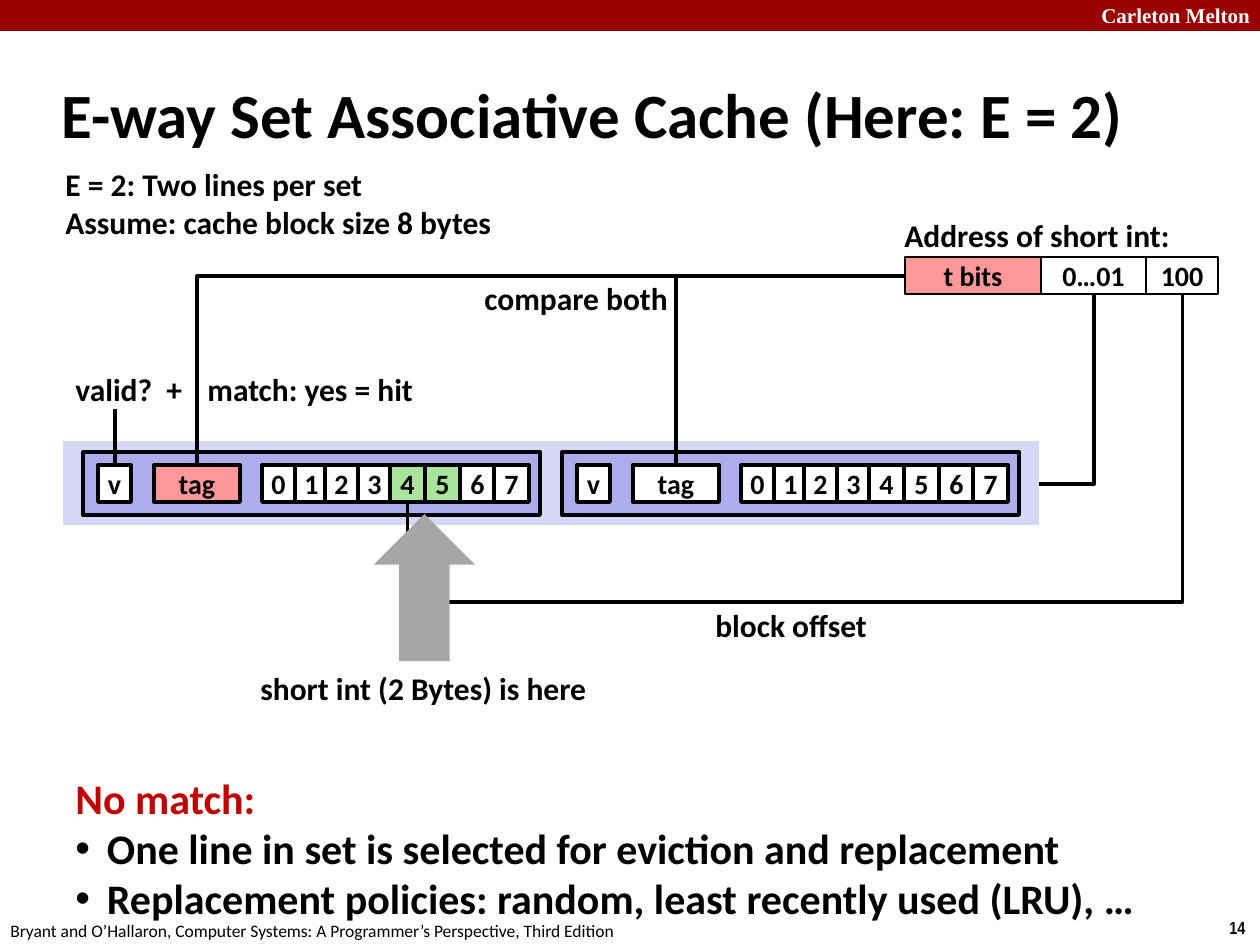
from lxml import etree
from pptx import Presentation
from pptx.dml.color import RGBColor
from pptx.enum.shapes import MSO_CONNECTOR, MSO_SHAPE
from pptx.enum.text import MSO_ANCHOR, MSO_AUTO_SIZE, PP_ALIGN
from pptx.oxml.ns import qn
from pptx.util import Emu, Pt

RECT, ARROW = MSO_SHAPE.RECTANGLE, MSO_SHAPE.UP_ARROW
STRAIGHT, ELBOW = MSO_CONNECTOR.STRAIGHT, MSO_CONNECTOR.ELBOW
MIDDLE, LEFT, CENTER = MSO_ANCHOR.MIDDLE, PP_ALIGN.LEFT, PP_ALIGN.CENTER
GROW, FIXED = MSO_AUTO_SIZE.SHAPE_TO_FIT_TEXT, MSO_AUTO_SIZE.NONE
BLACK = RGBColor(0x00, 0x00, 0x00)
WHITE = RGBColor(0xFF, 0xFF, 0xFF)
MAROON = RGBColor(0x99, 0x00, 0x00)
RED = RGBColor(0xC0, 0x00, 0x00)
PINK = RGBColor(0xFF, 0x99, 0x99)
GREEN = RGBColor(0xA9, 0xE3, 0x9D)
PALE = RGBColor(0xD6, 0xD6, 0xF5)
LILAC = RGBColor(0xAD, 0xAD, 0xEB)
GRAY = RGBColor(0xA6, 0xA6, 0xA6)
BYTES = (262, 295, 325, 358, 390, 425, 460, 494)
STEP = 479


def px(num):
    """Turn pixels at 126 to the inch into EMU."""
    return Emu(round(num * 914400 / 126))


def style(para, size, color=BLACK, bold=True, font="Calibri"):
    """Format all runs of a paragraph."""
    for run in para.runs:
        run.font.size = Pt(size)
        run.font.bold = bold
        run.font.name = font
        run.font.color.rgb = color


def add_label(slide, box, text, size=18, **look):
    """Add an unwrapped text box with one format for all its lines."""
    frame = slide.shapes.add_textbox(*map(px, box)).text_frame
    frame.text = text
    frame.word_wrap = False
    frame.auto_size = GROW
    for para in frame.paragraphs:
        style(para, size, **look)
    return frame


def add_block(slide, box, fill, line=0, text="", kind=RECT, wrap=False):
    """Add a filled shape with an optional outline and centred text."""
    shape = slide.shapes.add_shape(kind, *map(px, box))
    shape.shadow.inherit = False
    shape.fill.solid()
    shape.fill.fore_color.rgb = fill
    if line:
        shape.line.color.rgb = BLACK
        shape.line.width = Pt(line)
    else:
        shape.line.fill.background()
    if text:
        frame = shape.text_frame
        frame.text = text
        frame.word_wrap = wrap
        frame.vertical_anchor = MIDDLE
        frame.paragraphs[0].alignment = CENTER
        style(frame.paragraphs[0], 16)


def add_wire(slide, ends, kind=STRAIGHT):
    """Add a plain black connector."""
    wire = slide.shapes.add_connector(kind, *map(px, ends))
    wire.line.color.rgb = BLACK
    wire.line.width = Pt(2)
    etree.SubElement(wire.element.spPr, qn("a:effectLst"))
    return wire


def add_corner(slide, ends):
    """Add a connector that runs across and then turns up or down."""
    wire = add_wire(slide, ends, ELBOW)
    wire.element.spPr.find(qn("a:prstGeom")).set("prst", "bentConnector2")


def add_loop(slide, ends, bend):
    """Add an elbow connector turned by 90 degrees that bends past its end."""
    form = add_wire(slide, ends, ELBOW).element.spPr
    form.find(qn("a:xfrm")).set("rot", "5400000")
    geom = form.find(qn("a:prstGeom"))
    guides = geom.find(qn("a:avLst"))
    if guides is None:
        guides = etree.SubElement(geom, qn("a:avLst"))
    etree.SubElement(guides, qn("a:gd"), name="adj1", fmla=f"val {bend}")


def add_line(slide, left, tag, hits):
    """Add one cache line with its valid bit, tag and bytes."""
    add_block(slide, (left + 83, 452, 457, 63), LILAC, 2.25)
    add_block(slide, (left + 98, 465, 33, 37), WHITE, 2.25, "v")
    add_block(slide, (left + 154, 465, 86, 37), tag, 2.25, "tag")
    for num, spot in enumerate(BYTES):
        fill = GREEN if num in hits else WHITE
        box = (left + spot, 465, 33 if num < 4 else 35, 37)
        add_block(slide, box, fill, 2.25, str(num))


def set_bullet(para):
    """Give a paragraph a hanging round bullet."""
    props = para._p.get_or_add_pPr()
    props.set("marL", "228600")
    props.set("indent", "-228600")
    etree.SubElement(props, qn("a:buFont"), typeface="Arial")
    etree.SubElement(props, qn("a:buChar"), char="•")


def set_title(slide, text):
    """Place and format the title."""
    title = slide.shapes.title
    title.left, title.top, title.width, title.height = map(px, (49, 61, 1137, 105))
    frame = title.text_frame
    frame.text = text
    frame.word_wrap = True
    frame.auto_size = FIXED
    frame.vertical_anchor = MIDDLE
    frame.paragraphs[0].alignment = LEFT
    style(frame.paragraphs[0], 36)


def add_frame(slide):
    """Add the top band, page number and footer."""
    add_block(slide, (0, 0, 1260, 31), MAROON)
    add_label(slide, (1089, -4, 174, 38), "Carleton Melton", 12,
              color=WHITE, font="Times New Roman")
    add_label(slide, (1217, 911, 43, 34), "14", 10, font="Arial Narrow")
    add_label(slide, (-2, 914, 640, 34), "Bryant and O’Hallaron, Computer Systems: "
              "A Programmer’s Perspective, Third Edition", 10, bold=False)


def add_address(slide):
    """Add the address with its three fields."""
    add_label(slide, (892, 210, 294, 50), "Address of short int:")
    for left, width, fill, text in ((905, 136, PINK, "t bits"),
                                    (1041, 105, WHITE, "0…01"),
                                    (1146, 72, WHITE, "100")):
        add_block(slide, (left, 257, width, 37), fill, 1, text, wrap=True)


def add_notes(slide):
    """Add the text on what happens without a match."""
    frame = add_label(slide, (63, 766, 1100, 165), "No match:\n"
                      "One line in set is selected for eviction and replacement\n"
                      "Replacement policies: random, least recently used (LRU), …", 24)
    head, *points = frame.paragraphs
    style(head, 24, RED)
    for para in points:
        set_bullet(para)


def main():
    """Build the slide and save it."""
    deck = Presentation()
    deck.slide_width, deck.slide_height = px(1260), px(945)
    slide = deck.slides.add_slide(deck.slide_layouts[5])
    add_frame(slide)
    set_title(slide, "E-way Set Associative Cache (Here: E = 2)")
    add_label(slide, (53, 159, 455, 89),
              "E = 2: Two lines per set\nAssume: cache block size 8 bytes")
    add_address(slide)
    add_block(slide, (63, 441, 976, 84), PALE)
    add_line(slide, 0, PINK, (4, 5))
    add_line(slide, STEP, WHITE, ())
    add_corner(slide, (1039, 484, 1094, 294))
    for end in (676, 197):
        add_corner(slide, (905, 276, end, 465))
    add_label(slide, (472, 273, 210, 50), "compare both")
    add_wire(slide, (115, 409, 115, 465))
    add_label(slide, (63, 364, 141, 50), "valid?  +")
    add_label(slide, (195, 364, 233, 50), "match: yes = hit")
    add_loop(slide, (691, 10, 899, 785), 148400)
    add_label(slide, (703, 600, 179, 50), "block offset")
    add_block(slide, (374, 514, 101, 147), GRAY, kind=ARROW)
    add_label(slide, (248, 663, 354, 50), "short int (2 Bytes) is here")
    add_notes(slide)
    deck.save("out.pptx")


if __name__ == "__main__":
    main()
